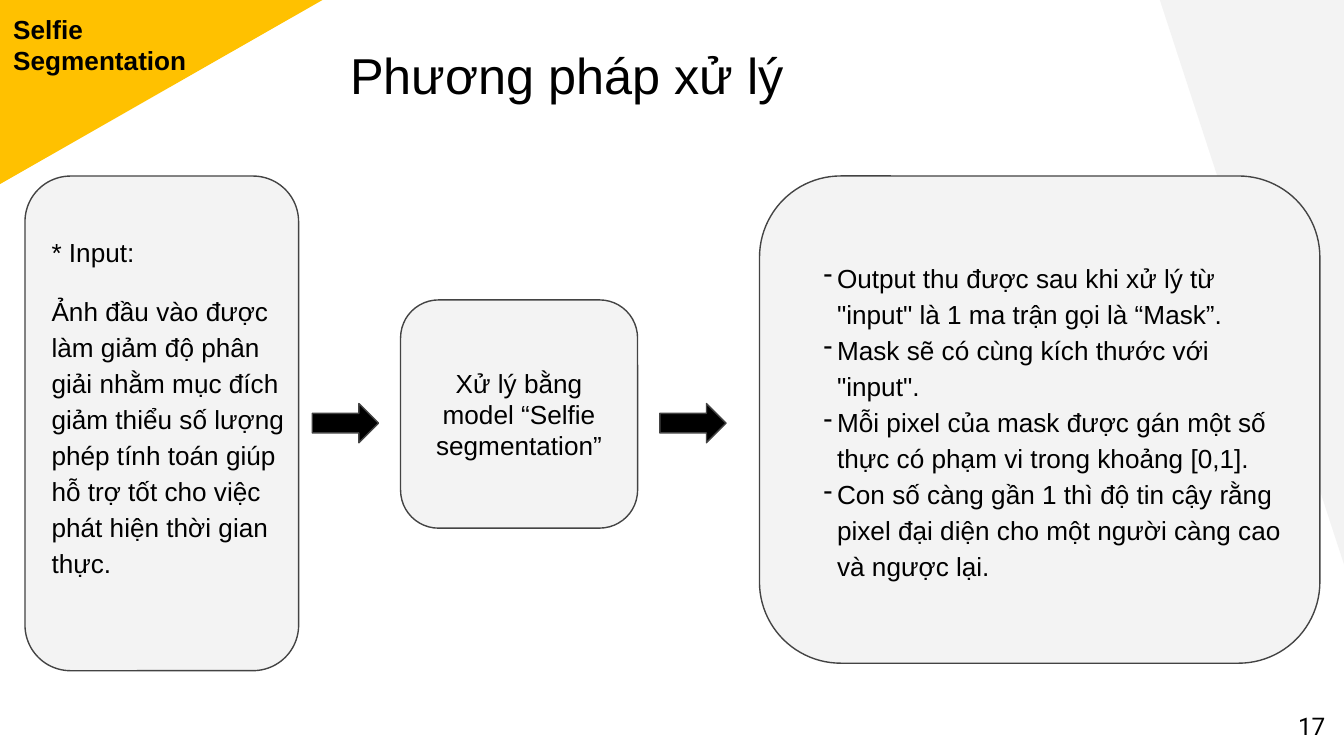
from lxml.etree import SubElement
from pptx import Presentation
from pptx.dml.color import RGBColor
from pptx.enum.shapes import MSO_SHAPE
from pptx.enum.text import MSO_ANCHOR, PP_ALIGN
from pptx.oxml.ns import qn
from pptx.util import Pt

BLACK = RGBColor(0, 0, 0)
GOLD = RGBColor(0xFF, 0xC1, 0x00)
PALE = RGBColor(0xF3, 0xF3, 0xF3)
EDGE = RGBColor(0x43, 0x43, 0x43)
PAD = 7.2

INPUT = [
    "* Input:",
    "Ảnh đầu vào được làm giảm độ phân giải nhằm mục đích giảm thiểu số lượng "
    "phép tính toán giúp hỗ trợ tốt cho việc phát hiện thời gian thực.",
]
MODEL = ["Xử lý bằng model “Selfie segmentation”"]
OUTPUT = [
    'Output thu được sau khi xử lý từ "input" là 1 ma trận gọi là “Mask”.',
    'Mask sẽ có cùng kích thước với "input".',
    "Mỗi pixel của mask được gán một số thực có phạm vi trong khoảng [0,1].",
    "Con số càng gần 1 thì độ tin cậy rằng pixel đại diện cho một người "
    "càng cao và ngược lại.",
]


def add_form(slide, kind, area, fill, line=None, turn=0):
    form = slide.shapes.add_shape(kind, *map(Pt, area))
    form.shadow.inherit = False
    form.rotation = turn
    form.fill.solid()
    form.fill.fore_color.rgb = fill
    if line is None:
        form.line.fill.background()
    else:
        form.line.color.rgb = line
        form.line.width = Pt(0.75)
    return form


def add_dash(para):
    props = para._p.get_or_add_pPr()
    props.set("marL", str(Pt(7.2)))
    props.set("indent", str(Pt(-25.2)))
    tint = SubElement(props, qn("a:buClr"))
    SubElement(tint, qn("a:srgbClr"), val=str(BLACK))
    SubElement(props, qn("a:buChar"), char="-")


def write(form, lines, size=14, font="Arial", align=PP_ALIGN.LEFT, bold=False,
          pads=(PAD, PAD, PAD, PAD), lead=None, gap=0, dash=False):
    frame = form.text_frame
    frame.word_wrap = True
    (frame.margin_left, frame.margin_top,
     frame.margin_right, frame.margin_bottom) = map(Pt, pads)
    for i, text in enumerate(lines):
        para = frame.add_paragraph() if i else frame.paragraphs[0]
        para.alignment = align
        if lead:
            para.line_spacing = lead
        if i and gap:
            para.space_before = Pt(gap)
        if dash:
            add_dash(para)
        run = para.add_run()
        run.text = text
        run.font.size = Pt(size)
        run.font.name = font
        run.font.bold = bold
        run.font.color.rgb = BLACK


def add_label(slide, area, text, **style):
    label = slide.shapes.add_textbox(*map(Pt, area))
    write(label, [text], **style)


def add_card(slide, area, lines, **style):
    card = add_form(slide, MSO_SHAPE.ROUNDED_RECTANGLE, area, PALE, EDGE)
    card.text_frame.vertical_anchor = MSO_ANCHOR.MIDDLE
    write(card, lines, **style)


def main():
    deck = Presentation()
    deck.slide_width, deck.slide_height = Pt(720), Pt(405)
    slide = deck.slides.add_slide(deck.slide_layouts[6])

    # Corner triangles
    wedge = MSO_SHAPE.RIGHT_TRIANGLE
    add_form(slide, wedge, (37.08, -37.08, 98.64, 172.8), GOLD, turn=90)
    add_form(slide, wedge, (621.36, 0, 98.64, 302.4), PALE, turn=180)

    # Title
    add_label(slide, (159.84, 16.56, 288, 64.8), "Phương pháp xử lý",
              size=27, align=PP_ALIGN.CENTER)

    # Steps
    add_card(slide, (13.4, 94.3, 146.6, 265), INPUT,
             pads=(PAD, PAD, 0, 26.5), lead=1.15, gap=12)
    add_card(slide, (406.9, 94.3, 300.2, 261), OUTPUT,
             pads=(21.6, PAD, PAD, PAD), lead=1.15, dash=True)
    add_card(slide, (214.6, 160.7, 127, 122.3), MODEL, align=PP_ALIGN.CENTER)

    # Arrows between steps
    for left in (167.3, 353.5):
        add_form(slide, MSO_SHAPE.RIGHT_ARROW, (left, 216.2, 35.5, 21), BLACK, EDGE)

    # Corner label and page number
    add_label(slide, (0, 0, 118.8, 48.24), "Selfie Segmentation", bold=True)
    add_label(slide, (673.92, 373.68, 43.2, 30.96), "17",
              size=13, font="Roboto", align=PP_ALIGN.RIGHT)

    deck.save("out.pptx")


if __name__ == "__main__":
    main()
